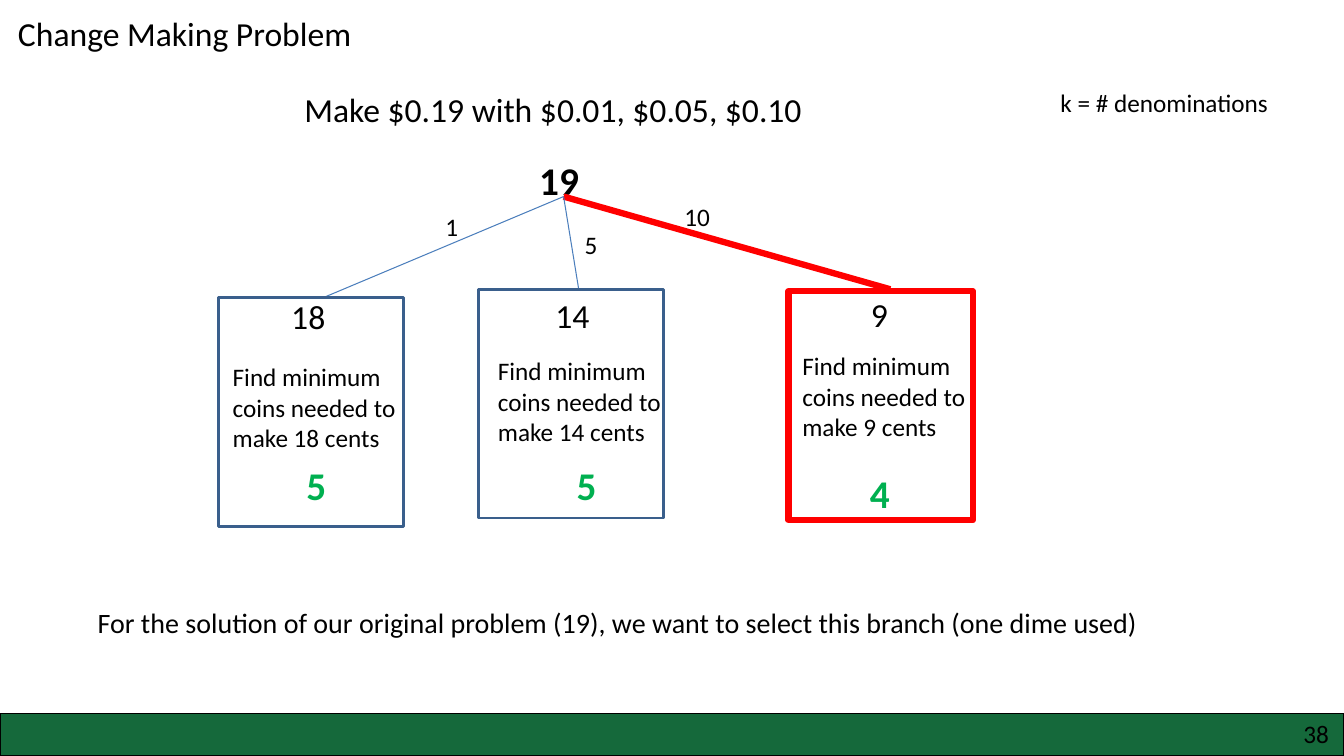
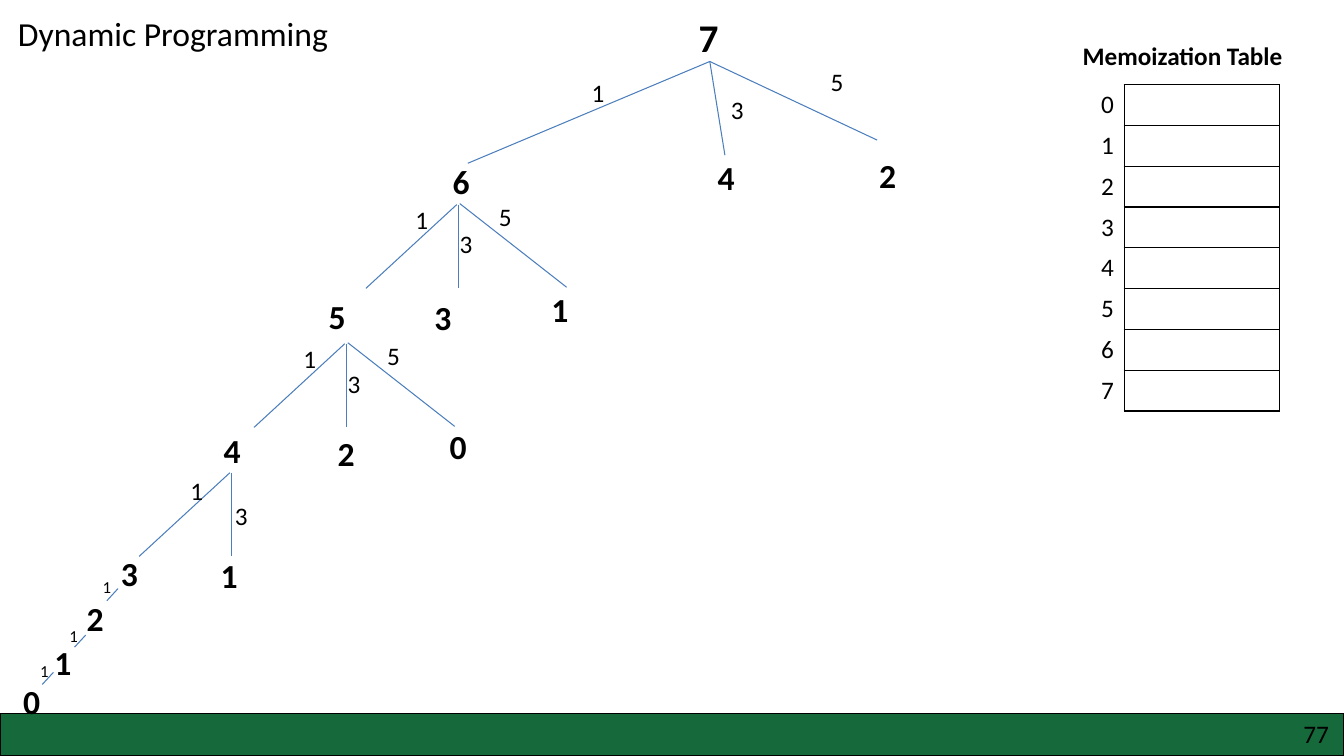
from lxml import etree
from pptx import Presentation
from pptx.dml.color import RGBColor
from pptx.enum.shapes import MSO_CONNECTOR, MSO_SHAPE
from pptx.enum.text import PP_ALIGN
from pptx.oxml.ns import qn
from pptx.util import Inches, Pt

FONT = "Calibri"
BLACK = "000000"
WHITE = "FFFFFF"
BAND_GREEN = "15693B"
ANSWER_GREEN = "00B050"
EDGE_BLUE = "4B7EBC"
BOX_BLUE = "3A5F8C"
RED = "FF0000"

FAN_ENDS = [((0, 0), (-0.9, 0.83)), ((0.02, 0), (0.02, 0.83)), ((0.03, -0.01), (1.09, 0.82))]
FAN_LABELS = [("1", -0.51, -0.05), ("3", -0.07, 0.19), ("5", 0.32, -0.08)]


def color(value):
    return RGBColor.from_string(value)


def format_text(text_frame, text, size=18, bold=False, fill=BLACK):
    paragraph = text_frame.paragraphs[0]
    paragraph.alignment = PP_ALIGN.LEFT
    run = paragraph.add_run()
    run.text = text
    run.font.name = FONT
    run.font.size = Pt(size)
    run.font.bold = bold
    run.font.color.rgb = color(fill)


def add_text(slide, text, left, top, width=0.42, height=0.4, **text_format):
    box = slide.shapes.add_textbox(Inches(left), Inches(top), Inches(width), Inches(height))
    box.text_frame.word_wrap = True
    format_text(box.text_frame, text, **text_format)


def add_rectangle(slide, left, top, width, height, line, weight, fill=None):
    shape = slide.shapes.add_shape(
        MSO_SHAPE.RECTANGLE, Inches(left), Inches(top), Inches(width), Inches(height))
    shape.shadow.inherit = False
    if fill:
        shape.fill.solid()
        shape.fill.fore_color.rgb = color(fill)
    else:
        shape.fill.background()
    shape.line.color.rgb = color(line)
    shape.line.width = Pt(weight)


def add_edge(slide, start, end, line=EDGE_BLUE, weight=0.75):
    points = [Inches(value) for value in (*start, *end)]
    connector = slide.shapes.add_connector(MSO_CONNECTOR.STRAIGHT, *points)
    connector.line.color.rgb = color(line)
    connector.line.width = Pt(weight)
    etree.SubElement(connector._element.spPr, qn("a:effectLst"))


def add_framed_slide(presentation, title, number):
    slide = presentation.slides.add_slide(presentation.slide_layouts[6])
    add_rectangle(slide, 0, 7.08, 13.33, 0.42, BLACK, 1, BAND_GREEN)
    add_text(slide, number, 12.83, 7.08, 0.5, 0.3)
    add_text(slide, title, 0.08, 0.08, 3.91, 0.5, size=24)
    return slide


def add_nodes(slide, nodes):
    for text, left, top in nodes:
        add_text(slide, text, left, top, height=0.5, size=24, bold=True)


def add_labels(slide, labels, size=18):
    for text, left, top in labels:
        add_text(slide, text, left, top, 0.48, size=size)


def add_fan(slide, left, top, branches=3, label_shift=(0, 0)):
    for (start_x, start_y), (end_x, end_y) in FAN_ENDS[:branches]:
        add_edge(slide, (left + start_x, top + start_y), (left + end_x, top + end_y))
    shift_x, shift_y = label_shift
    add_labels(slide, [(text, left + x + shift_x, top + y + shift_y)
                       for text, x, y in FAN_LABELS[:branches]])


def add_subproblem(slide, cents, coins, box, cents_at, task_at, coins_at, line=BOX_BLUE, weight=2):
    add_rectangle(slide, *box, 1.83, 2.27, line, weight)
    add_text(slide, cents, *cents_at, 0.58, 0.5, size=24)
    add_text(slide, f"Find minimum coins needed to make {cents} cents", *task_at, 1.96, 1)
    add_text(slide, coins, *coins_at, height=0.57, size=28, bold=True, fill=ANSWER_GREEN)


def set_borders(cell, sides):
    properties = cell._tc.get_or_add_tcPr()
    for position, side in enumerate(sides):
        border = etree.Element(qn(f"a:ln{side}"), w=str(Pt(1)))
        solid = etree.SubElement(border, qn("a:solidFill"))
        etree.SubElement(solid, qn("a:srgbClr"), val=BLACK)
        properties.insert(position, border)


def add_memo_table(slide, left, top, row_count):
    frame = slide.shapes.add_table(
        row_count, 2, Inches(left), Inches(top), Inches(1.87), Inches(3.24))
    table = frame.table
    table.first_row = table.horz_banding = False
    table.columns[0].width = Inches(0.33)
    table.columns[1].width = Inches(1.54)
    for index, row in enumerate(table.rows):
        key, value = row.cells
        for cell in (key, value):
            cell.fill.solid()
            cell.fill.fore_color.rgb = color(WHITE)
        key.margin_right = 0
        format_text(key.text_frame, str(index))
        set_borders(key, "R")
        set_borders(value, "LRTB")


def build_change_making(presentation):
    slide = add_framed_slide(presentation, "Change Making Problem", "38")
    add_text(slide, "Make $0.19 with $0.01, $0.05, $0.10", 2.92, 0.83, 5.65, 0.5, size=24)
    add_text(slide, "k = # denominations", 10.42, 0.82, 2.47)
    add_text(slide, "19", 5.25, 1.5, 0.64, 0.57, size=28, bold=True)
    root = (5.59, 1.95)
    add_edge(slide, root, (3.19, 2.96))
    add_edge(slide, root, (8.83, 2.87), RED, 4.5)
    add_edge(slide, root, (5.74, 2.87))
    add_labels(slide, [("1", 4.32, 2.05), ("5", 5.7, 2.23), ("10", 6.69, 1.95)])
    add_subproblem(slide, "18", "5", (2.17, 2.95), (2.79, 2.89), (2.21, 3.54), (2.94, 4.53))
    add_subproblem(slide, "14", "5", (4.75, 2.87), (5.41, 2.88), (4.84, 3.48), (5.62, 4.53))
    add_subproblem(slide, "9", "4", (7.82, 2.89), (8.54, 2.87), (7.86, 3.43), (8.53, 4.61),
                   RED, 4.5)
    add_text(slide, "For the solution of our original problem (19), we want to select "
             "this branch (one dime used)", 0.87, 5.96, 11.43, 0.44, size=20)


def build_dynamic_programming(presentation):
    slide = add_framed_slide(presentation, "Dynamic Programming", "77")
    add_text(slide, "7", 6.83, 0.08, height=0.57, size=28, bold=True)
    for end in ((4.64, 1.62), (8.7, 1.39), (7.19, 1.54)):
        add_edge(slide, (7.04, 0.61), end)
    add_labels(slide, [("1", 5.77, 0.72), ("3", 7.15, 0.89), ("5", 8.14, 0.61)])
    add_fan(slide, 4.53, 2.03)
    add_fan(slide, 3.42, 3.41)
    add_fan(slide, 2.28, 4.69, branches=2, label_shift=(0.02, 0.03))
    for left, top in ((1.06, 5.84), (0.74, 6.3), (0.42, 6.67)):
        add_edge(slide, (left + 0.11, top), (left, top + 0.12))
    add_labels(slide, [("1", 0.92, 5.67), ("1", 0.59, 6.16), ("1", 0.3, 6.51)], size=12)
    add_nodes(slide, [
        ("6", 4.39, 1.55), ("4", 7.02, 1.51), ("2", 8.62, 1.49),
        ("5", 3.16, 2.89), ("3", 4.21, 2.9), ("1", 5.37, 2.82),
        ("4", 2.12, 4.22), ("2", 3.25, 4.25), ("0", 4.36, 4.18),
        ("3", 1.1, 5.44), ("1", 2.09, 5.46),
        ("2", 0.76, 5.88), ("1", 0.44, 6.32), ("0", 0.13, 6.71),
    ])
    add_text(slide, "Memoization Table", 10.64, 0.35, 2.46, bold=True)
    add_memo_table(slide, 10.82, 0.84, 8)


def main():
    presentation = Presentation()
    presentation.slide_width = Inches(13.33)
    presentation.slide_height = Inches(7.5)
    build_change_making(presentation)
    build_dynamic_programming(presentation)
    presentation.save("out.pptx")


if __name__ == "__main__":
    main()
